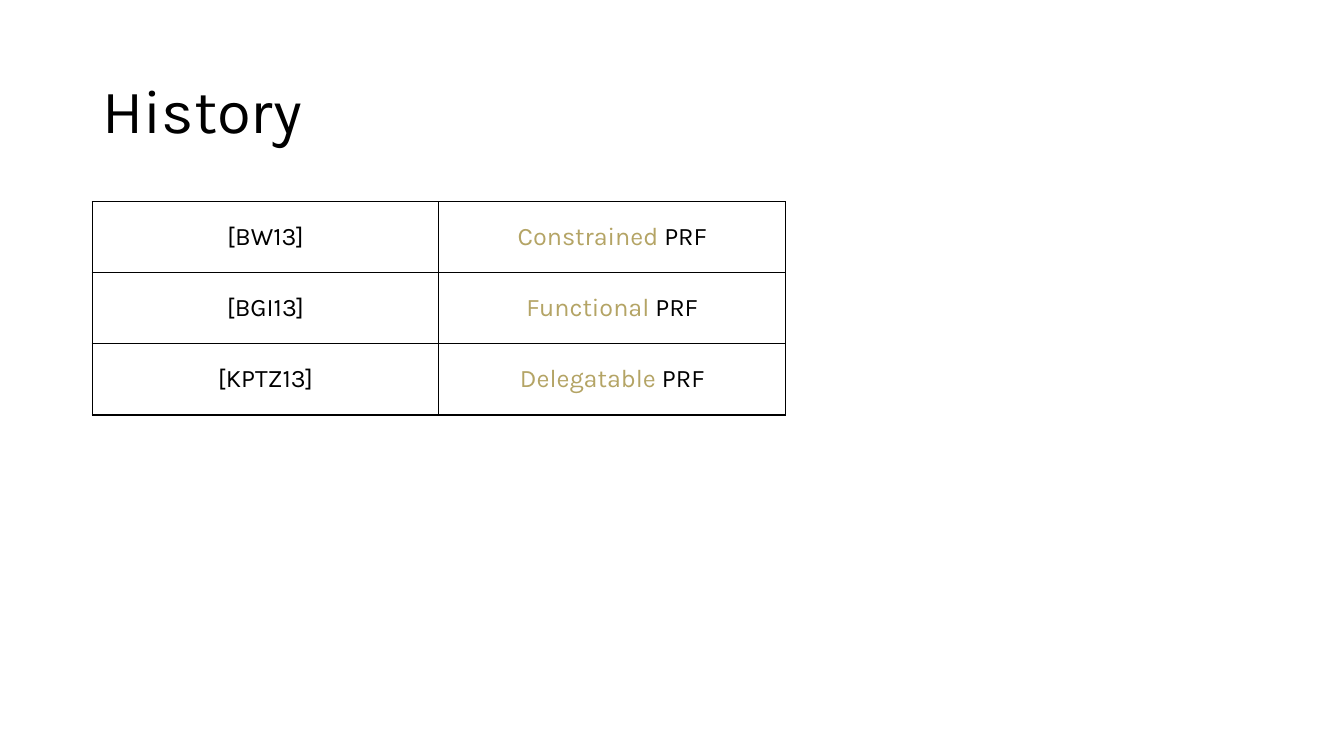
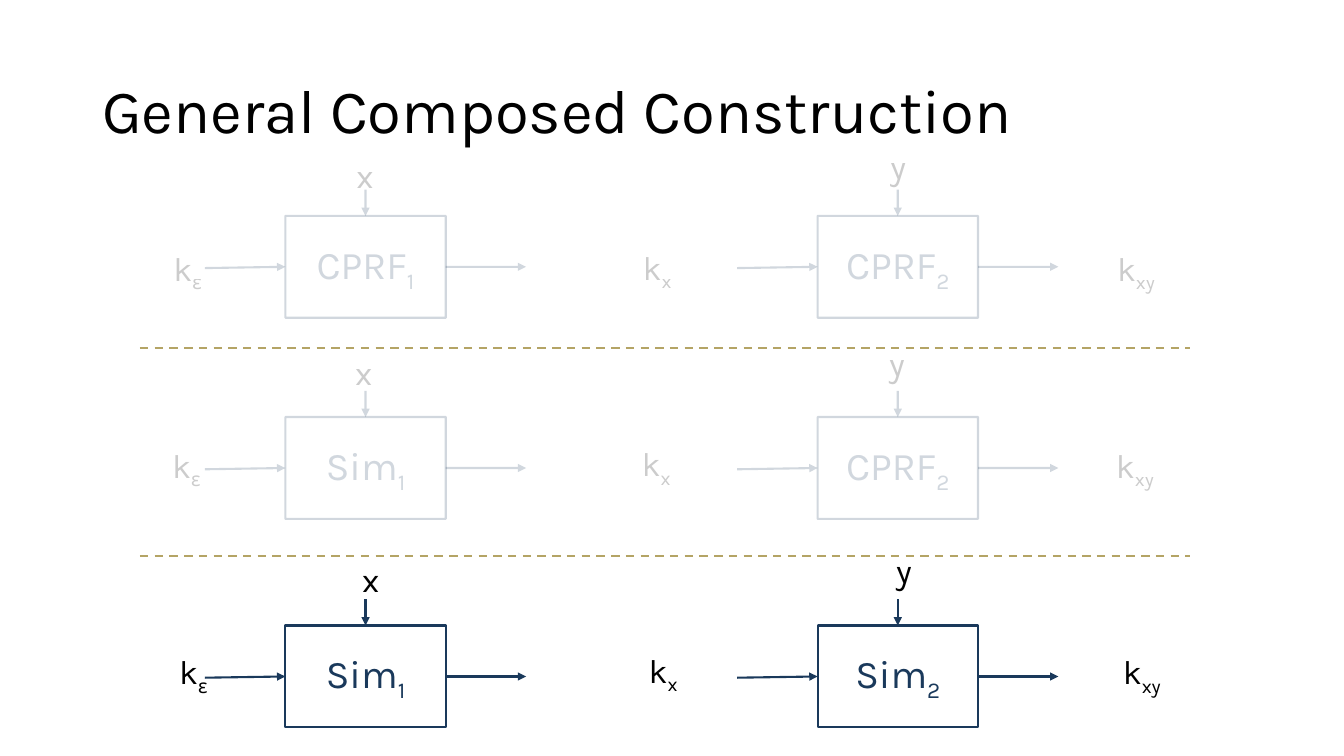
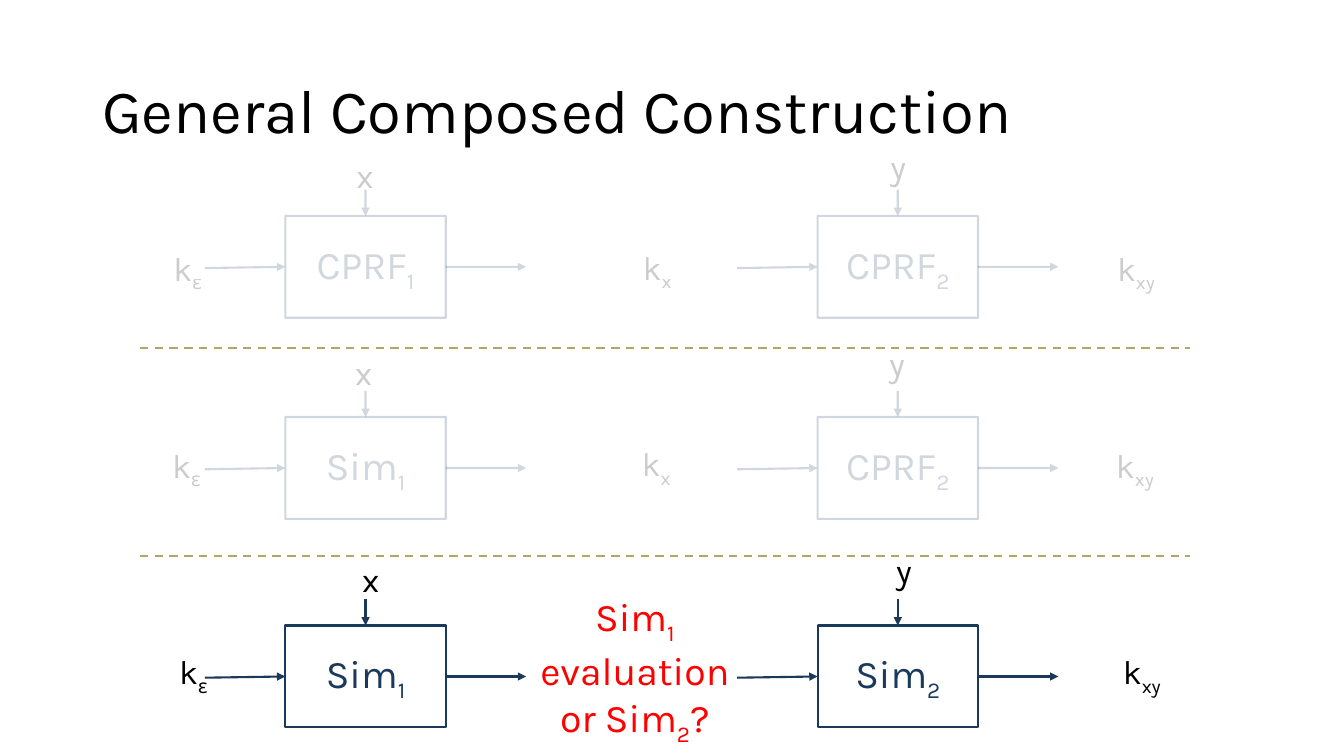
from dataclasses import dataclass
from typing import Optional

from lxml.etree import SubElement
from pptx import Presentation
from pptx.dml.color import RGBColor
from pptx.enum.dml import MSO_LINE
from pptx.enum.shapes import MSO_CONNECTOR, MSO_SHAPE
from pptx.enum.text import MSO_ANCHOR, MSO_AUTO_SIZE, PP_ALIGN
from pptx.oxml.ns import qn
from pptx.slide import Slide
from pptx.text.text import TextFrame, _Paragraph
from pptx.util import Pt


@dataclass(frozen=True)
class Theme:
    font: str = "Karla"
    ink: RGBColor = RGBColor(0, 0, 0)
    navy: RGBColor = RGBColor(0x1A, 0x39, 0x5B)
    gold: RGBColor = RGBColor(0xB4, 0xA4, 0x65)
    red: RGBColor = RGBColor(0xFF, 0, 0)
    title_size: float = 44
    box_size: float = 28
    label_size: float = 24
    table_size: float = 18
    line_width: float = 1.5
    border_width: float = 1
    faded_alpha: int = 20000


THEME = Theme()


@dataclass(frozen=True)
class Piece:
    """A stretch of text, possibly subscript or in its own colour."""
    text: str
    sub: bool = False
    color: Optional[RGBColor] = None


@dataclass(frozen=True)
class Label:
    """A key or input name, placed relative to its row's first key."""
    dx: float
    dy: float
    base: str
    index: str = ""


@dataclass(frozen=True)
class Row:
    """One experiment: two machines in sequence and their labels."""
    top: float
    label_left: float
    label_top: float
    machines: tuple[str, str]
    faded: bool = True


BOX_LEFTS = (203.8, 584)
BOX_WIDTH, BOX_HEIGHT = 114.6, 72.8
SIDE_ARROW, TOP_ARROW = 57.4, 18.7
LABEL_WIDTH, LABEL_HEIGHT = 76.3, 36
DIVIDER_LEFT, DIVIDER_RIGHT = 100, 850
DIVIDER_TOPS = (248.4, 397.3)

MIDDLE_KEY = Label(335.5, -1, "k", "x")
LABELS = (
    Label(0, 0, "k", "ε"),
    Label(126.7, -66.2, "x"),
    MIDDLE_KEY,
    Label(507.6, -72.7, "y"),
    Label(677.5, 0, "k", "xy"),
)
ROWS = (
    Row(154.2, 95.8, 173.5, ("CPRF", "CPRF")),
    Row(297.9, 95, 314, ("Sim", "CPRF")),
    Row(446.8, 100, 461.6, ("Sim", "Sim"), faded=False),
)
HISTORY = (
    ("[BW13]", "Constrained"),
    ("[BGI13]", "Functional"),
    ("[KPTZ13]", "Delegatable"),
)
QUESTION = (
    (Piece("Sim"), Piece("1", sub=True), Piece(" evaluation")),
    (Piece("or Sim"), Piece("2", sub=True), Piece("?")),
)


# Text

def write(paragraph: _Paragraph, pieces: tuple[Piece, ...], size: float,
          color: RGBColor, align: PP_ALIGN = PP_ALIGN.CENTER) -> None:
    paragraph.text = pieces[0].text
    for piece in pieces[1:]:
        paragraph.add_run().text = piece.text
    paragraph.alignment = align
    for run, piece in zip(paragraph.runs, pieces):
        run.font.name = THEME.font
        run.font.size = Pt(size)
        run.font.color.rgb = piece.color or color
        if piece.sub:
            run.font._element.set("baseline", "-25000")


def add_text_area(slide: Slide, left: float, top: float, width: float,
                  height: float):
    area = slide.shapes.add_textbox(Pt(left), Pt(top), Pt(width), Pt(height))
    area.text_frame.word_wrap = True
    return area


def add_title(slide: Slide, title: str) -> None:
    frame: TextFrame = add_text_area(slide, 66, 28.8, 828, 104.4).text_frame
    frame.vertical_anchor = MSO_ANCHOR.MIDDLE
    heading = frame.paragraphs[0]
    write(heading, (Piece(title),), THEME.title_size, THEME.ink, PP_ALIGN.LEFT)
    heading.line_spacing = 0.9


# Lines and fading

def fade(shape) -> None:
    for color in shape._element.iter(qn("a:srgbClr")):
        SubElement(color, qn("a:alpha"), val=str(THEME.faded_alpha))


def add_line(slide: Slide, start: tuple[float, float],
             end: tuple[float, float], color: RGBColor):
    line = slide.shapes.add_connector(
        MSO_CONNECTOR.STRAIGHT, *(Pt(value) for value in (*start, *end)))
    line.line.color.rgb = color
    line.line.width = Pt(THEME.line_width)
    SubElement(line._element.spPr, qn("a:effectLst"))
    return line


def add_arrow(slide: Slide, start: tuple[float, float],
              end: tuple[float, float]):
    arrow = add_line(slide, start, end, THEME.navy)
    outline = arrow._element.spPr.find(qn("a:ln"))
    SubElement(outline, qn("a:tailEnd"), type="triangle")
    return arrow


# Experiment rows

def add_machine(slide: Slide, left: float, top: float, name: str,
                number: int, faded: bool) -> None:
    box = slide.shapes.add_shape(MSO_SHAPE.RECTANGLE, Pt(left), Pt(top),
                                 Pt(BOX_WIDTH), Pt(BOX_HEIGHT))
    box.shadow.inherit = False
    box.fill.background()
    box.line.color.rgb = THEME.navy
    box.line.width = Pt(THEME.line_width)
    box.text_frame.vertical_anchor = MSO_ANCHOR.MIDDLE
    write(box.text_frame.paragraphs[0],
          (Piece(name), Piece(str(number), sub=True)),
          THEME.box_size, THEME.navy)

    right = left + BOX_WIDTH
    center, middle = left + BOX_WIDTH / 2, top + BOX_HEIGHT / 2
    arrows = (
        add_arrow(slide, (left - SIDE_ARROW, middle + 0.9), (left, middle)),
        add_arrow(slide, (center, top - TOP_ARROW), (center, top)),
        add_arrow(slide, (right, middle), (right + SIDE_ARROW, middle)),
    )
    if faded:
        for part in (box, *arrows):
            fade(part)


def add_label(slide: Slide, row: Row, label: Label) -> None:
    area = add_text_area(slide, row.label_left + label.dx,
                         row.label_top + label.dy, LABEL_WIDTH, LABEL_HEIGHT)
    area.text_frame.auto_size = MSO_AUTO_SIZE.SHAPE_TO_FIT_TEXT
    pieces = (Piece(label.base),)
    if label.index:
        pieces += (Piece(label.index, sub=True),)
    write(area.text_frame.paragraphs[0], pieces, THEME.label_size, THEME.ink)
    if row.faded:
        fade(area)


def add_question(slide: Slide) -> None:
    frame = add_text_area(slide, 348, 419.8, 211, 74.9).text_frame
    frame.auto_size = MSO_AUTO_SIZE.SHAPE_TO_FIT_TEXT
    frame.text = "\n".join(
        "".join(piece.text for piece in pieces) for pieces in QUESTION)
    for paragraph, pieces in zip(frame.paragraphs, QUESTION):
        write(paragraph, pieces, THEME.box_size, THEME.red)


# Slides

def build_history(slide: Slide) -> None:
    add_title(slide, "History")
    history = slide.shapes.add_table(len(HISTORY), 2, Pt(65.8), Pt(144),
                                     Pt(495.4), Pt(152.4)).table
    history.first_row = False
    history.horz_banding = False
    for row, (citation, kind) in enumerate(HISTORY):
        contents = ((Piece(citation),),
                    (Piece(kind, color=THEME.gold), Piece(" PRF")))
        for column, pieces in enumerate(contents):
            cell = history.cell(row, column)
            cell.vertical_anchor = MSO_ANCHOR.MIDDLE
            write(cell.text_frame.paragraphs[0], pieces,
                  THEME.table_size, THEME.ink)
            properties = cell._tc.get_or_add_tcPr()
            for side in "LRTB":
                border = SubElement(properties, qn(f"a:ln{side}"),
                                    w=str(Pt(THEME.border_width)))
                fill = SubElement(border, qn("a:solidFill"))
                SubElement(fill, qn("a:srgbClr"), val=str(THEME.ink))
            cell.fill.background()


def build_construction(slide: Slide, with_question: bool) -> None:
    add_title(slide, "General Composed Construction")
    for top in DIVIDER_TOPS:
        divider = add_line(slide, (DIVIDER_LEFT, top), (DIVIDER_RIGHT, top),
                           THEME.gold)
        divider.line.dash_style = MSO_LINE.DASH
    for row in ROWS:
        for number, (left, name) in enumerate(zip(BOX_LEFTS, row.machines), 1):
            add_machine(slide, left, row.top, name, number, row.faded)
        for label in LABELS:
            # The question takes the place of the last row's middle key
            if with_question and not row.faded and label is MIDDLE_KEY:
                add_question(slide)
            else:
                add_label(slide, row, label)


def main() -> None:
    deck = Presentation()
    deck.slide_width, deck.slide_height = Pt(960), Pt(540)
    blank = deck.slide_layouts[6]
    build_history(deck.slides.add_slide(blank))
    for with_question in (False, True):
        build_construction(deck.slides.add_slide(blank), with_question)
    deck.save("out.pptx")


if __name__ == "__main__":
    main()
